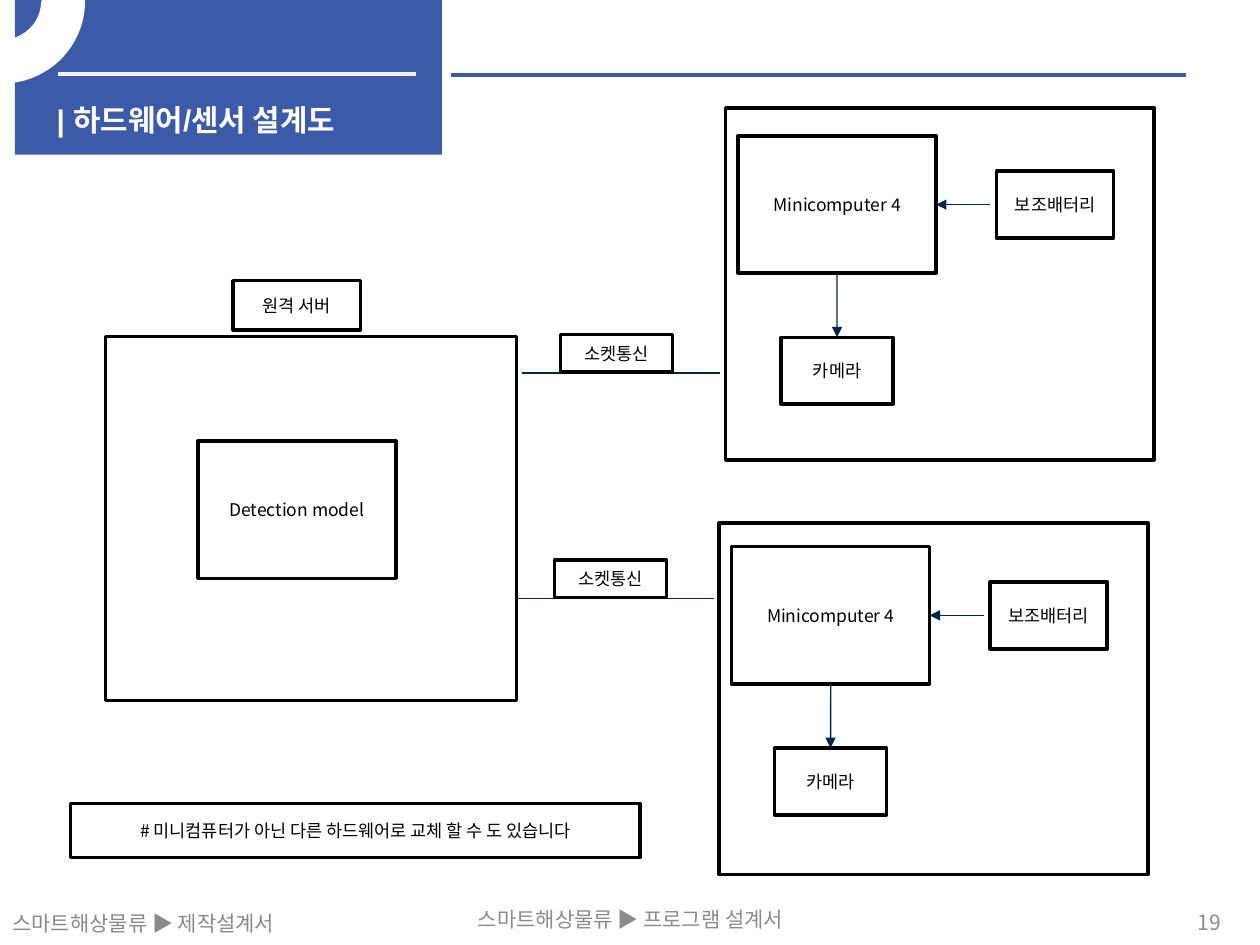
from dataclasses import dataclass

from lxml import etree
from pptx import Presentation
from pptx import util as u
from pptx.dml import color
from pptx.enum import shapes, text
from pptx.oxml import ns

Cm = u.Cm
Kind = shapes.MSO_SHAPE
Align = text.PP_ALIGN
Anchor = text.MSO_ANCHOR


@dataclass(frozen=True)
class Theme:
    blue: str = "3B5AA8"
    white: str = "FFFFFF"
    pale: str = "F2F2F2"
    ink: str = "000000"
    wire: str = "00264C"
    left_footer: str = "898989"
    footer: str = "8C8C8C"
    body_font: str = "Noto Sans CJK KR"
    title_font: str = "Arial"
    title_size: int = 17
    label_size: int = 10
    footer_size: int = 12
    frame_width: float = 2
    rule_width: float = 2.25
    wire_width: float = 0.75


THEME = Theme()
BOARD = (3.99, 2.77)
BATTERY = (2.36, 1.35)
CAMERA = (2.26, 1.35)


def rgb(value):
    return color.RGBColor.from_string(value)


def apply(target, values):
    for key, value in values.items():
        setattr(target, key, value)


def write(frame, words, size, ink, align=Align.CENTER, anchor=Anchor.MIDDLE,
          font=THEME.body_font, bold=False, wrap=True):
    apply(frame, {"word_wrap": wrap, "vertical_anchor": anchor,
                  "auto_size": text.MSO_AUTO_SIZE.NONE})
    paragraph = frame.paragraphs[0]
    paragraph.alignment = align
    run = paragraph.add_run()
    run.text = words
    apply(run.font, {"name": font, "size": u.Pt(size), "bold": bold})
    run.font.color.rgb = rgb(ink)
    east_asian = etree.SubElement(run.font._element, ns.qn("a:ea"))
    east_asian.set("typeface", THEME.body_font)


def add_block(slide, x, y, width, height, words="", fill=None, line=THEME.ink,
              kind=Kind.RECTANGLE):
    block = slide.shapes.add_shape(kind, Cm(x), Cm(y), Cm(width), Cm(height))
    block.shadow.inherit = False
    if fill:
        block.fill.solid()
        block.fill.fore_color.rgb = rgb(fill)
    else:
        block.fill.background()
    if line:
        block.line.color.rgb = rgb(line)
        block.line.width = u.Pt(THEME.frame_width)
    else:
        block.line.fill.background()
    if words:
        write(block.text_frame, words, THEME.label_size, THEME.ink)
    return block


def add_line(slide, x1, y1, x2, y2, ink=THEME.wire, width=THEME.wire_width, arrow=False):
    line = slide.shapes.add_connector(shapes.MSO_CONNECTOR.STRAIGHT,
                                      Cm(x1), Cm(y1), Cm(x2), Cm(y2))
    line.line.color.rgb = rgb(ink)
    line.line.width = u.Pt(width)
    if arrow:
        etree.SubElement(line.line._get_or_add_ln(), ns.qn("a:tailEnd"), type="triangle")
    etree.SubElement(line._element.spPr, ns.qn("a:effectLst"))
    return line


def add_header(slide, x, y, width, height):
    add_block(slide, x, y, width, height, fill=THEME.blue, line=None)
    add_line(slide, x + 0.87, y + 1.5, x + 8.08, y + 1.5, THEME.pale, THEME.rule_width)
    add_line(slide, x + 8.79, y + 1.52, x + 23.6, y + 1.52, THEME.blue, THEME.rule_width)
    # Quarter ring over the banner corner
    ring = add_block(slide, x - 1.9, y - 1.6, 3.28, 3.25, fill=THEME.white,
                     line=THEME.white, kind=Kind.BLOCK_ARC)
    for index, value in enumerate((0, 54.41, 0.25)):
        ring.adjustments[index] = value
    # Title, raised above the banner
    title = slide.shapes.title
    apply(title, {"left": Cm(x + 0.59), "top": Cm(y + 1.93),
                  "width": Cm(8.2), "height": Cm(0.53)})
    write(title.text_frame, "| 하드웨어/센서 설계도", THEME.title_size, THEME.white,
          Align.LEFT, Anchor.TOP, THEME.title_font, True)
    slide.shapes._spTree.append(title._element)


def add_server(slide, x, y, width, height):
    add_block(slide, x + 2.57, y - 1.12, 2.57, 0.99, "원격 서버")
    add_block(slide, x, y, width, height)
    add_block(slide, x + 1.86, y + 2.11, *BOARD, "Detection model")


def add_device(slide, x, y, width, height, drop):
    """Place one device; drop is the gap from the frame's top to the board."""
    add_block(slide, x, y, width, height)
    board_x, board_y = x + 0.25, y + drop
    middle_x, middle_y = board_x + BOARD[0] / 2, board_y + BOARD[1] / 2
    board = add_block(slide, board_x, board_y, *BOARD, "Minicomputer 4")
    add_block(slide, x + 5.46, middle_y - BATTERY[1] / 2, *BATTERY, "보조배터리")
    camera = add_block(slide, middle_x - CAMERA[0] / 2, board_y + 4.06, *CAMERA, "카메라")
    # Power and camera arrows
    power = add_line(slide, x + 5.33, middle_y, board_x + BOARD[0], middle_y, arrow=True)
    power.end_connect(board, 3)
    feed = add_line(slide, middle_x, board_y + BOARD[1], middle_x, board_y + 4.06, arrow=True)
    feed.begin_connect(board, 2)
    feed.end_connect(camera, 0)


def add_socket_link(slide, x, y, length):
    add_line(slide, x, y, x + length, y)
    add_block(slide, x + 0.78, y - 0.78, 2.26, 0.76, "소켓통신")


def add_footer(slide, x, y, width, height):
    parts = (
        (x, y + 0.23, 6.38, 0.76, "스마트해상물류 ▶ 제작설계서", THEME.left_footer,
         Align.LEFT, Anchor.TOP, False),
        (x + 8.69, y, 8.05, height, "스마트해상물류 ▶ 프로그램 설계서", THEME.footer,
         Align.CENTER, Anchor.MIDDLE, True),
        (x + width - 6.45, y + 0.3, 5.92, 0.56, "19", THEME.footer,
         Align.RIGHT, Anchor.MIDDLE, True),
    )
    for left, top, part_width, part_height, words, ink, align, anchor, wrap in parts:
        part = slide.shapes.add_textbox(Cm(left), Cm(top), Cm(part_width), Cm(part_height))
        write(part.text_frame, words, THEME.footer_size, ink, align, anchor, wrap=wrap)


def main():
    deck = Presentation()
    apply(deck, {"slide_width": Cm(25.4), "slide_height": Cm(19.05)})
    slide = deck.slides.add_slide(deck.slide_layouts[5])
    add_header(slide, 0.3, 0, 8.61, 3.12)
    add_server(slide, 2.13, 6.78, 8.28, 7.34)
    # Two devices, each linked to the server
    for x, y, drop in ((14.63, 2.18, 0.56), (14.5, 10.54, 0.48)):
        add_device(slide, x, y, 8.64, 7.09, drop)
    for x, y in ((10.52, 7.52), (10.4, 12.07)):
        add_socket_link(slide, x, y, 4)
    # Remark on hardware choice
    add_block(slide, 1.42, 16.2, 11.48, 1.09,
              "# 미니컴퓨터가 아닌 다른 하드웨어로 교체 할 수 도 있습니다")
    add_footer(slide, 0, 18.01, 25.4, 1.02)
    deck.save("out.pptx")


if __name__ == "__main__":
    main()
